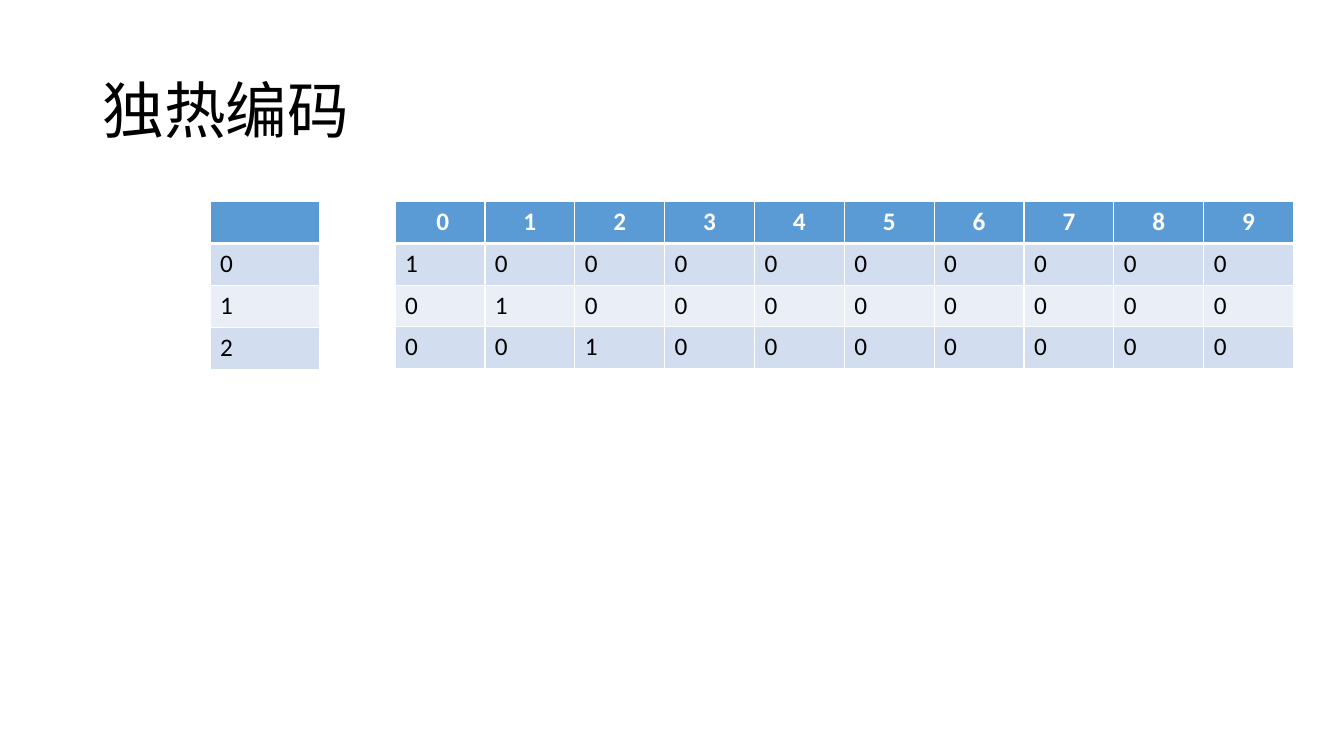
from pptx import Presentation
from pptx.dml.color import RGBColor
from pptx.enum import text
from pptx.oxml import parse_xml
from pptx.oxml.ns import nsdecls
from pptx.util import Pt

TITLE = "独热编码"
LABELS = [[""], ["0"], ["1"], ["2"]]
ONE_HOT = [
    [" 0", "1", "2", "3", "4", "5", "6", "7", "8", "9"],
    ["1", "0", "0", "0", "0", "0", "0", "0", "0", "0"],
    ["0", "1", "0", "0", "0", "0", "0", "0", "0", "0"],
    ["0", "0", "1", "0", "0", "0", "0", "0", "0", "0"],
]
TABLES = [
    {"rows": ONE_HOT, "left": 282.2, "col": 64.2, "heights": [30, 30, 29, 30]},
    {"rows": LABELS, "left": 150, "col": 78.6, "heights": [30] * 4},
]
TOP = 144
HEADER_FILL, BANDS = "5B9BD5", ["D2DEEF", "EAEFF7"]
WHITE, BLACK = "FFFFFF", "000000"


def color(value):
    return RGBColor.from_string(value)


def write(p, words, size, ink, bold=False):
    r = p.add_run()
    r.text = words
    for name, value in {"name": "Calibri", "size": Pt(size), "bold": bold}.items():
        setattr(r.font, name, value)
    r.font.color.rgb = color(ink)


def set_borders(cell, bottom):
    for side, width in {"L": 1, "R": 1, "T": 1, "B": bottom}.items():
        cell._tc.get_or_add_tcPr().append(parse_xml(
            f'<a:ln{side} {nsdecls("a")} w="{Pt(width)}"><a:solidFill>'
            f'<a:srgbClr val="{WHITE}"/></a:solidFill></a:ln{side}>'))


def add_grid(s, rows, left, col, heights):
    count = len(rows[0])
    table = s.shapes.add_table(len(rows), count, Pt(left), Pt(TOP),
                               Pt(col * count), Pt(sum(heights))).table
    for column in table.columns:
        column.width = Pt(col)
    for i, (values, height) in enumerate(zip(rows, heights)):
        table.rows[i].height = Pt(height)
        header = i == 0
        for j, value in enumerate(values):
            cell = table.cell(i, j)
            set_borders(cell, 3 if header else 1)
            cell.fill.solid()
            cell.fill.fore_color.rgb = color(HEADER_FILL if header else BANDS[(i - 1) % 2])
            p = cell.text_frame.paragraphs[0]
            if header:
                p.alignment = text.PP_ALIGN.CENTER
            if value:
                write(p, value, 18, WHITE if header else BLACK, header)


def main():
    prs = Presentation()
    prs.slide_width, prs.slide_height = Pt(960), Pt(540)
    s = prs.slides.add_slide(prs.slide_layouts[5])
    sp = s.shapes.title
    for name, value in {"left": 66, "top": 28.8, "width": 828, "height": 104.4}.items():
        setattr(sp, name, Pt(value))
    tf = sp.text_frame
    tf.vertical_anchor = text.MSO_ANCHOR.MIDDLE
    p = tf.paragraphs[0]
    p.alignment, p.line_spacing = text.PP_ALIGN.LEFT, 0.9
    write(p, TITLE, 44, BLACK)
    for grid in TABLES:
        add_grid(s, **grid)
    prs.save("out.pptx")


if __name__ == "__main__":
    main()
